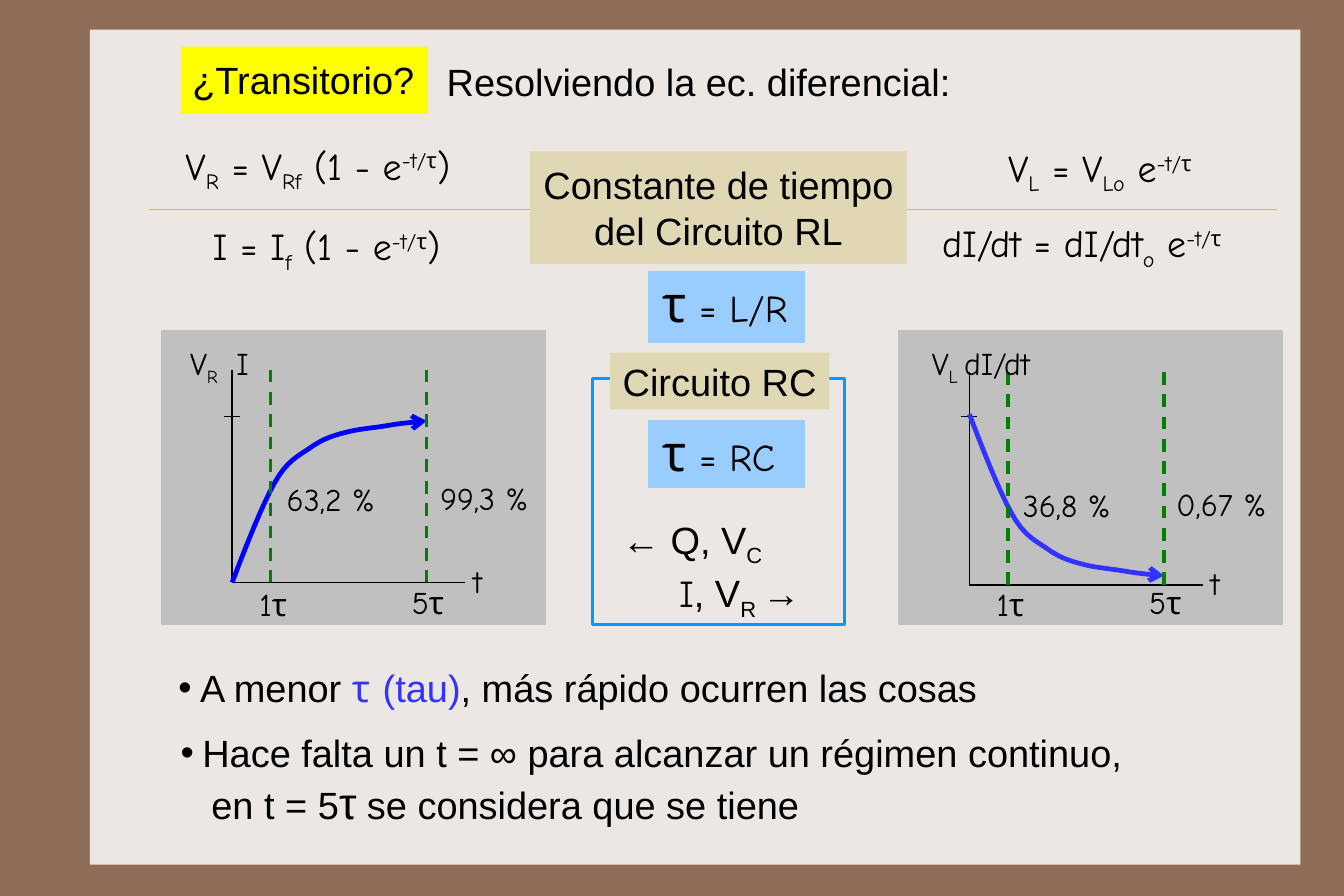
"""Build the slide on transients and the time constants of RL and RC circuits."""
from lxml.etree import SubElement
from pptx import Presentation
from pptx.dml.color import RGBColor
from pptx.enum.dml import MSO_LINE
from pptx.enum.shapes import MSO_CONNECTOR as LINK, MSO_SHAPE as SHAPE
from pptx.enum.text import MSO_ANCHOR, MSO_AUTO_SIZE as FIT, PP_ALIGN as ALIGN
from pptx.oxml.ns import qn
from pptx.util import Inches, Pt

SANS, COMIC = "Arial", "Comic Neue"
BLACK, GREY, GREEN = "000000", "C0C0C0", "008000"
YELLOW, SAND, SKY, VIOLET = "FFFF00", "E0D7B5", "99CCFF", "3333FF"
SUB, SUP = {"base": -25}, {"base": 30}
TAU = ("τ", {"size": 32})
POWER = ("-t/τ", SUP)
WIDE, SNUG, PLAIN = (0.1, 0.09, 0.1, 0.09), (0.08, 0.04, 0.08, 0.04), (0.1, 0.05, 0.1, 0.05)

TITLE = ["¿Transitorio?"]
LEAD = ["Resolviendo la ec. diferencial:"]
FORMULAS = [
    ((1.55, 1.21, 2.78, 0.49),
     ["V", ("R", SUB), " = V", ("Rf", SUB), " (1 - e", POWER, ")"]),
    ((1.79, 1.92, 2.43, 0.49), ["I = I", ("f", SUB), " (1 - e", POWER, ")"]),
    ((8.78, 1.23, 2.02, 0.49), ["V", ("L", SUB), " = V", ("Lo", SUB), " e", POWER]),
    ((8.2, 1.89, 3.14, 0.49), ["dI/dt = dI/dt", ("o", SUB), " e", POWER]),
]
HEADS = [
    ((4.66, 1.33, 3.31, 0.99), [["Constante de tiempo"], ["del Circuito RL"]], WIDE),
    ((5.36, 3.1, 1.93, 0.5), [["Circuito RC"]], PLAIN),
]
RATIOS = [
    ((5.7, 2.39, 1.37, 0.62), [TAU, " = L/R"], 0.08),
    ((5.7, 3.7, 1.37, 0.58), [TAU, " = RC"], 0.04),
]
SIDES = [
    ((5.37, 4.49, 1.46, 0.5), ["← Q, V", ("C", SUB)]),
    ((5.87, 4.96, 1.38, 0.5),
     [("I", {"font": COMIC}), ", V", ("R ", SUB), "→"]),
]
NOTES = [
    ((1.47, 5.79, 7.52, 0.5), PLAIN,
     [["A menor ", ("τ ", {"font": COMIC, "tone": VIOLET}), ("(tau)", {"tone": VIOLET}),
       ", más rápido ocurren las cosas"]]),
    ((1.49, 6.32, 8.7, 1.06), WIDE,
     [["Hace falta un t = ∞ para alcanzar un régimen continuo,"],
      ["en t = 5", ("τ", {"size": 28}), " se considera que se tiene"]]),
]
PLOTS = [
    {"x": 2.04, "base": 5.12, "from": 5.12, "way": -1, "tone": "0000FF",
     "marks": [(-0.45, 2.98, 0.79, ["V", ("R", SUB), (" ", {"gap": 5}), "I"]),
               (0.4, 4.18, 1.07, ["63,2 %"]), (1.75, 4.17, 1.07, ["99,3 %"])]},
    {"x": 8.52, "base": 5.14, "from": 3.64, "way": 1, "tone": VIOLET,
     "marks": [(-0.41, 2.98, 1.3, ["V", ("L ", SUB), "dI/dt"]),
               (0.39, 4.23, 1.07, ["36,8 %"]), (1.74, 4.22, 1.07, ["0,67 %"])]},
]
SCALE = [(0.16, 5.1, 0.42, ["1τ"]), (1.5, 5.08, 0.46, ["5τ"])]
CURVE = [
    (0, 0), (0.13, 0.34), (0.26, 0.67), (0.37, 0.87), (0.48, 1.07), (0.58, 1.11),
    (0.68, 1.18), (0.79, 1.26), (0.88, 1.29), (1, 1.32), (1.11, 1.35), (1.25, 1.36),
    (1.37, 1.38), (1.48, 1.4), (1.6, 1.41), (1.71, 1.42),
]
STEPS = 8

deck = Presentation()
deck.slide_width, deck.slide_height = Pt(850.5), Pt(567)
slide = deck.slides.add_slide(deck.slide_layouts[5])
shapes = slide.shapes


def color(code):
    return RGBColor.from_string(code)


def place(shape, at):
    shape.left, shape.top, shape.width, shape.height = map(Inches, at)


def rect(at, fill=None, edge=None, width=1):
    shape = shapes.add_shape(SHAPE.RECTANGLE, *map(Inches, at))
    shape.shadow.inherit = False
    if fill:
        shape.fill.solid()
        shape.fill.fore_color.rgb = color(fill)
    else:
        shape.fill.background()
    if edge:
        shape.line.color.rgb = color(edge)
        shape.line.width = Pt(width)
    else:
        shape.line.fill.background()
    return shape


def line(x1, y1, x2, y2, tone=BLACK, width=1, dash=None):
    link = shapes.add_connector(LINK.STRAIGHT, *map(Inches, (x1, y1, x2, y2)))
    link.line.color.rgb = color(tone)
    link.line.width = Pt(width)
    if dash:
        link.line.dash_style = dash
    SubElement(link._element.spPr, qn("a:effectLst"))


def write(shape, paras, font=SANS, size=24, ins=PLAIN, wrap=False, align=ALIGN.LEFT,
          fit=FIT.SHAPE_TO_FIT_TEXT):
    frame = shape.text_frame
    frame.word_wrap = wrap
    frame.auto_size = fit
    frame.vertical_anchor = MSO_ANCHOR.TOP
    (frame.margin_left, frame.margin_top,
     frame.margin_right, frame.margin_bottom) = map(Inches, ins)
    for i, runs in enumerate(paras):
        para = frame.add_paragraph() if i else frame.paragraphs[0]
        para.alignment = align
        for item in runs:
            words, look = (item, {}) if isinstance(item, str) else item
            run = para.add_run()
            run.text = words
            run.font.name = look.get("font", font)
            run.font.size = Pt(look.get("size", size))
            run.font.color.rgb = color(look.get("tone", BLACK))
            if "base" in look:
                run.font._element.set("baseline", str(look["base"] * 1000))
            if "gap" in look:
                run.font._element.set("spc", str(look["gap"] * 100))
    return frame


def text(at, paras, **style):
    return write(shapes.add_textbox(*map(Inches, at)), paras, **style)


def indent(para, left, bullet):
    props = para._p.get_or_add_pPr()
    props.set("marL", str(Inches(left)))
    props.set("indent", str(-Inches(left) if bullet else 0))
    if bullet:
        SubElement(props, qn("a:buFont"), typeface=SANS)
        SubElement(props, qn("a:buChar"), char="•")


def trace(points):
    for i in range(0, len(points) - 1, 3):
        knots = points[i:i + 4]
        for step in range(1, STEPS + 1):
            t = step / STEPS
            parts = ((1 - t) ** 3, 3 * t * (1 - t) ** 2, 3 * t * t * (1 - t), t ** 3)
            yield tuple(sum(p * k[axis] for p, k in zip(parts, knots)) for axis in (0, 1))


def plot(data):
    x, base = data["x"], data["base"]
    top = base - 1.87
    rect((x - 0.62, 2.91, 3.37, 2.58), GREY, GREY)
    line(x, top, x, base)
    line(x + 2.05, base, x, base)
    line(x - 0.07, 3.66, x + 0.07, 3.66)
    path = shapes.build_freeform(Inches(x), Inches(data["from"]))
    path.add_line_segments(
        [(Inches(x + dx), Inches(data["from"] + data["way"] * dy))
         for dx, dy in trace(CURVE)], close=False)
    curve = path.convert_to_shape()
    curve.shadow.inherit = False
    curve.fill.background()
    curve.line.color.rgb = color(data["tone"])
    curve.line.width = Pt(3)
    SubElement(curve.line._get_or_add_ln(), qn("a:tailEnd"), type="arrow")
    for dx in (0.34, 1.71):
        line(x + dx, top, x + dx, base, GREEN, 2, MSO_LINE.DASH)
    for dx, y, width, runs in data["marks"] + SCALE + [(2.04, base - 0.22, 0.3, ["t"])]:
        text((x + dx, y, width, 0.43), [runs], font=COMIC, size=20, ins=SNUG)


slide.background.fill.solid()
slide.background.fill.fore_color.rgb = color("906D58")
rect((0.79, 0.26, 10.64, 7.34), "EDE7E3")
line(1.31, 1.84, 11.22, 1.84, "CBBD83", 0.25)

title = shapes.title
shapes._spTree.append(title._element)
place(title, (1.59, 0.41, 2.17, 0.59))
title.fill.solid()
title.fill.fore_color.rgb = color(YELLOW)
write(title, [TITLE], ins=WIDE, fit=FIT.NONE)
text((3.27, 0.47, 5.74, 0.5), [LEAD], wrap=True, align=ALIGN.CENTER)

for data in PLOTS:
    plot(data)
for at, runs in FORMULAS:
    text(at, [runs], font=COMIC, ins=SNUG)
rect((5.21, 3.33, 2.21, 2.16), edge="0099FF", width=2)
for at, paras, ins in HEADS:
    write(rect(at, SAND), paras, ins=ins, align=ALIGN.CENTER)
for at, runs, foot in RATIOS:
    write(rect(at, SKY, SKY), [runs], font=COMIC, ins=(0.12, 0, 0.12, foot), wrap=True)
for at, runs in SIDES:
    text(at, [runs])
for at, ins, paras in NOTES:
    for i, para in enumerate(text(at, paras, ins=ins, wrap=True).paragraphs):
        indent(para, 0.27 if i else 0.19, bullet=not i)

deck.save("out.pptx")
